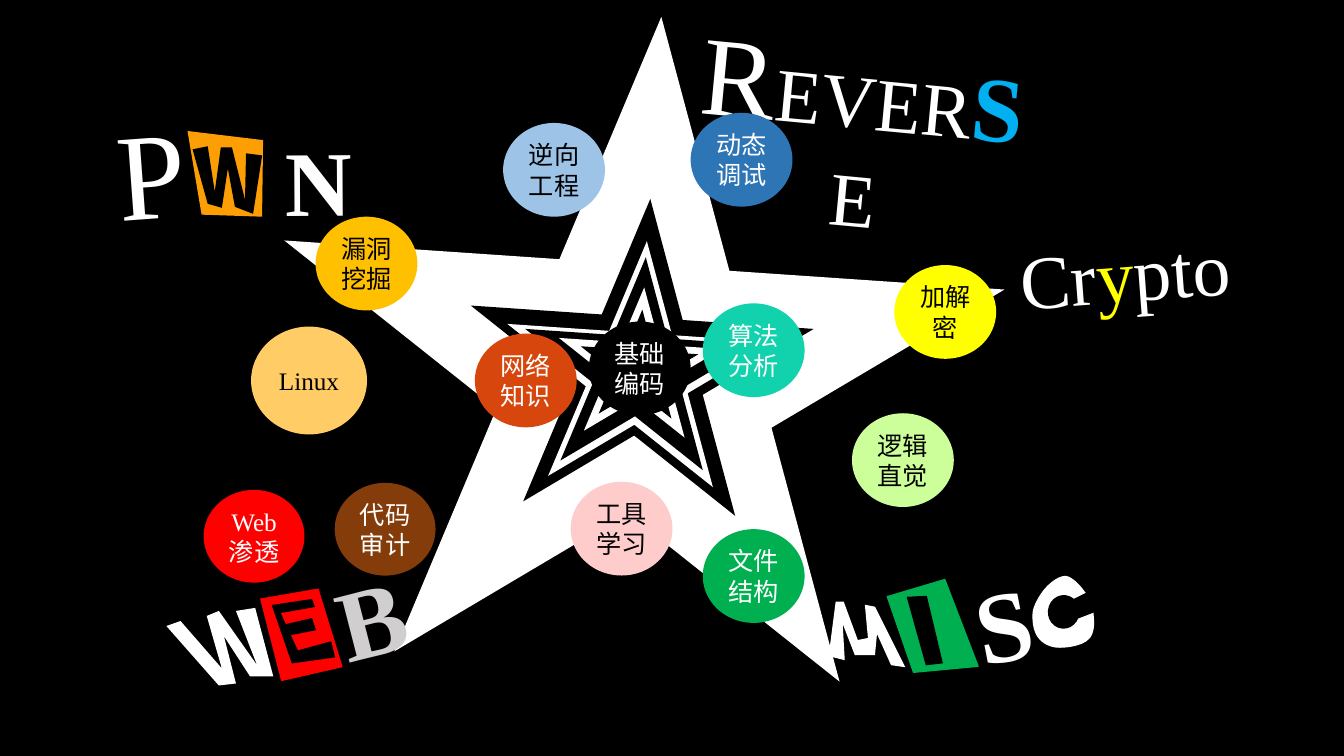
import math

from lxml import etree
from pptx import Presentation
from pptx.dml.color import RGBColor
from pptx.enum.shapes import MSO_SHAPE
from pptx.enum.text import MSO_ANCHOR, PP_ALIGN
from pptx.oxml.ns import qn
from pptx.util import Inches, Pt

STAR = MSO_SHAPE.STAR_5_POINT
OVAL = MSO_SHAPE.OVAL
MIDDLE = MSO_ANCHOR.MIDDLE
CENTER = PP_ALIGN.CENTER

BLACK = RGBColor(0, 0, 0)
WHITE = RGBColor(255, 255, 255)
OFF_WHITE = RGBColor(0xFE, 0xFE, 0xFE)
GREY = RGBColor(0xD0, 0xCE, 0xCE)
RED = RGBColor(255, 0, 0)
ORANGE = RGBColor(0xFC, 0x9E, 0x04)
AMBER = RGBColor(0xFF, 0xC0, 0x00)
YELLOW = RGBColor(255, 255, 0)
GREEN = RGBColor(0x00, 0xB0, 0x50)
SKY = RGBColor(0x00, 0xB0, 0xF0)
BROWN = RGBColor(0x84, 0x3C, 0x0B)
BLUE = RGBColor(0x2E, 0x75, 0xB6)
PALE_BLUE = RGBColor(0x9D, 0xC3, 0xE6)
TEAL = RGBColor(0x12, 0xD2, 0xAD)
RUST = RGBColor(0xD7, 0x47, 0x0D)
LIME = RGBColor(0xCC, 0xFF, 0x99)
PINK = RGBColor(0xFF, 0xCC, 0xCC)
SAND = RGBColor(0xFF, 0xCC, 0x66)


class Poster:
    font = "Times New Roman"

    def __init__(self, page):
        self.page = page
        self.layer = page.shapes
        fill = page.background.fill
        fill.solid()
        fill.fore_color.rgb = BLACK

    def start_group(self):
        self.layer = self.page.shapes.add_group_shape().shapes

    def end_group(self):
        self.layer = self.page.shapes

    def paint(self, shape, color, turn, outlined):
        shape.shadow.inherit = False
        shape.rotation = turn
        shape.fill.solid()
        shape.fill.fore_color.rgb = color
        if outlined:
            shape.line.color.rgb = color
            shape.line.width = Pt(1)
        else:
            shape.line.fill.background()

    def shape(self, kind, place, color, turn=0, outlined=False):
        shape = self.layer.add_shape(kind, *map(Inches, place))
        self.paint(shape, color, turn, outlined)
        return shape

    def cutout(self, middle, turn, points, color, outlined=False):
        cosine = math.cos(math.radians(turn))
        sine = math.sin(math.radians(turn))
        upright = []
        for x, y in points:
            across, down = x - middle[0], y - middle[1]
            upright.append((Inches(middle[0] + across * cosine + down * sine),
                            Inches(middle[1] + down * cosine - across * sine)))
        builder = self.layer.build_freeform(*upright[0])
        builder.add_line_segments(upright[1:], close=True)
        self.paint(builder.convert_to_shape(), color, turn, outlined)

    def letters(self, place, turn, spans, wrap=False):
        box = self.layer.add_textbox(*map(Inches, place))
        box.rotation = turn
        box.text_frame.word_wrap = wrap
        para = box.text_frame.paragraphs[0]
        para.alignment = CENTER
        for text, size, color, bold, outline, spacing in spans:
            span = para.add_run()
            span.text = text
            span.font.name = self.font
            span.font.size = Pt(size)
            span.font.bold = bold
            span.font.color.rgb = color
            properties = span.font._element
            if spacing:
                properties.set("spc", str(int(spacing * 100)))
            if outline:
                line = etree.Element(qn("a:ln"), w=str(Pt(outline)))
                solid = etree.SubElement(line, qn("a:solidFill"))
                etree.SubElement(solid, qn("a:srgbClr"), val=str(WHITE))
                properties.insert(0, line)

    def topic(self, text, left, top, color, ink, width=1.01, height=0.93):
        oval = self.shape(OVAL, (left, top, width, height), color)
        frame = oval.text_frame
        frame.word_wrap = True
        frame.vertical_anchor = MIDDLE
        frame.text = text
        para = frame.paragraphs[0]
        para.alignment = CENTER
        font = para.runs[0].font
        font.name = self.font
        font.size = Pt(18)
        font.color.rgb = ink


def curve(knots, steps=8):
    points = [knots[0]]
    for index in range(0, len(knots) - 1, 3):
        a, b, c, d = knots[index:index + 4]
        for step in range(1, steps + 1):
            t = step / steps
            u = 1 - t
            points.append(tuple(
                u ** 3 * a[k] + 3 * u * u * t * b[k] + 3 * u * t * t * c[k] + t ** 3 * d[k]
                for k in (0, 1)))
    return points


def main():
    deck = Presentation()
    deck.slide_width, deck.slide_height = Inches(13.33), Inches(7.5)
    poster = Poster(deck.slides.add_slide(deck.slide_layouts[6]))

    poster.start_group()
    stars = [(2.76, 0.16, 7.16, 6.46), (4.64, 1.97, 3.41, 3.08), (5.01, 2.39, 2.65, 2.39),
             (5.19, 2.55, 2.29, 2.07), (5.53, 2.85, 1.62, 1.46), (5.75, 3.07, 1.17, 1.06)]
    for index, place in enumerate(stars):
        poster.shape(STAR, place, BLACK if index % 2 else WHITE, 3.9)

    poster.start_group()
    poster.cutout((2.28, 6.39), 324.6, [
        (1.79, 6.16), (2.2, 6.63), (2.05, 6.11), (2.17, 6.06), (2.55, 6.6), (2.34, 6.06),
        (2.53, 6.03), (2.71, 6.71), (2.48, 6.71), (2.22, 6.31), (2.34, 6.78), (2.17, 6.8),
        (1.65, 6.21)], WHITE)
    poster.cutout((2.98, 6.28), 343.5,
                  [(2.58, 5.94), (3.16, 5.84), (3.4, 6.62), (2.79, 6.76)], RED)
    poster.cutout((3.0, 6.26), 324.6, [
        (2.7, 6), (3.1, 5.94), (3.13, 6.02), (2.79, 6.08), (2.84, 6.19), (3.1, 6.13),
        (3.14, 6.25), (2.89, 6.3), (2.96, 6.45), (3.29, 6.36), (3.33, 6.52), (2.9, 6.58)], BLACK)
    poster.letters((3.25, 5.49, 0.68, 1.31), 345.6, [("B", 72, GREY, True, 1.75, 0)], True)

    poster.start_group()
    poster.cutout((2.27, 1.72), 354.5,
                  [(1.86, 1.3), (2.61, 1.39), (2.6, 2.15), (2, 2.13)], ORANGE)
    poster.cutout((2.31, 1.78), 347.1, [
        (2.06, 1.45), (2.13, 1.9), (2.19, 1.46), (2.3, 1.46), (2.43, 1.98), (2.44, 1.52),
        (2.6, 1.54), (2.51, 2.12), (2.33, 2.05), (2.26, 1.67), (2.2, 2.06), (2.06, 2.02),
        (1.91, 1.48)], BLACK)
    poster.letters((2.73, 1.18, 0.53, 1.21), 359.6, [("N", 66, OFF_WHITE, True, 0.75, 0.5)], True)
    poster.letters((1.05, 0.9, 0.9, 1.58), 355.8, [("P", 88, WHITE, False, 0, 0)])

    poster.end_group()
    poster.letters((6.78, 0.12, 3.58, 1.45), 5.4, [
        ("R", 80, WHITE, False, 0, 0), ("EVER", 54, WHITE, False, 0, 0),
        ("S", 66, SKY, True, 0.75, 0), ("E", 54, WHITE, False, 0, 0)], True)

    poster.start_group()
    poster.cutout((8.5, 6.36), 333.1, [
        (8.22, 6.51), (8.29, 5.97), (8.37, 5.97), (8.51, 6.35), (8.61, 6.33), (8.58, 6),
        (8.68, 6.02), (8.98, 6.62), (8.84, 6.6), (8.7, 6.29), (8.68, 6.5), (8.48, 6.5),
        (8.36, 6.19), (8.38, 6.55)], WHITE)
    poster.cutout((9.25, 6.26), 345,
                  [(8.8, 5.92), (9.37, 5.75), (9.7, 6.61), (9.06, 6.67)], GREEN, True)
    poster.cutout((9.18, 6.25), 333.1,
                  [(8.99, 5.92), (9.19, 5.91), (9.35, 6.58), (9.18, 6.6)], BLACK)
    poster.letters((9.58, 5.52, 0.69, 1.31), 349, [("S", 72, WHITE, True, 0, 0)])
    poster.cutout((10.55, 6.07), 5.2, curve([
        (10.25, 6.06), (10.27, 5.98), (10.33, 5.88), (10.39, 5.82), (10.44, 5.77),
        (10.51, 5.72), (10.57, 5.72), (10.63, 5.73), (10.7, 5.8), (10.75, 5.87),
        (10.8, 5.93), (10.84, 6.02), (10.84, 6.1), (10.85, 6.18), (10.85, 6.29),
        (10.79, 6.34), (10.73, 6.4), (10.59, 6.42), (10.51, 6.42), (10.42, 6.42),
        (10.34, 6.38), (10.3, 6.32), (10.25, 6.26), (10.24, 6.14), (10.25, 6.06)]), WHITE, True)
    poster.shape(OVAL, (10.4, 5.91, 0.3, 0.32), BLACK, 5.2, True)
    poster.cutout((10.77, 6.01), 5.2,
                  [(10.65, 5.95), (10.77, 5.89), (10.9, 6.05), (10.69, 6.13)], BLACK, True)

    poster.end_group()
    poster.letters((9.96, 2.2, 2.4, 1.01), 355.7, [
        ("Cr", 54, WHITE, False, 0, 0), ("y", 54, YELLOW, False, 0, 0),
        ("pto", 54, WHITE, False, 0, 0)])

    poster.topic("代码审计", 3.32, 4.79, BROWN, WHITE, 1, 0.92)
    poster.topic("动态调试", 6.85, 1.12, BLUE, WHITE)
    poster.topic("基础编码", 5.84, 3.19, BLACK, WHITE)
    poster.topic("算法分析", 6.97, 3.01, TEAL, WHITE)
    poster.topic("加解密", 8.87, 2.63, YELLOW, BLACK)
    poster.topic("网络知识", 4.71, 3.31, RUST, WHITE)
    poster.topic("漏洞挖掘", 3.13, 2.15, AMBER, BLACK)
    poster.topic("文件结构", 6.97, 5.25, GREEN, WHITE)
    poster.topic("逆向工程", 4.99, 1.22, PALE_BLUE, BLACK)
    poster.topic("逻辑直觉", 8.45, 4.1, LIME, BLACK)
    poster.topic("工具学习", 5.66, 4.78, PINK, BLACK)
    poster.topic("Web渗透", 2.02, 4.86, RED, WHITE, 1, 0.92)
    poster.topic("Linux", 2.49, 3.24, SAND, BLACK, 1.15, 1.07)

    deck.save("out.pptx")


if __name__ == "__main__":
    main()
